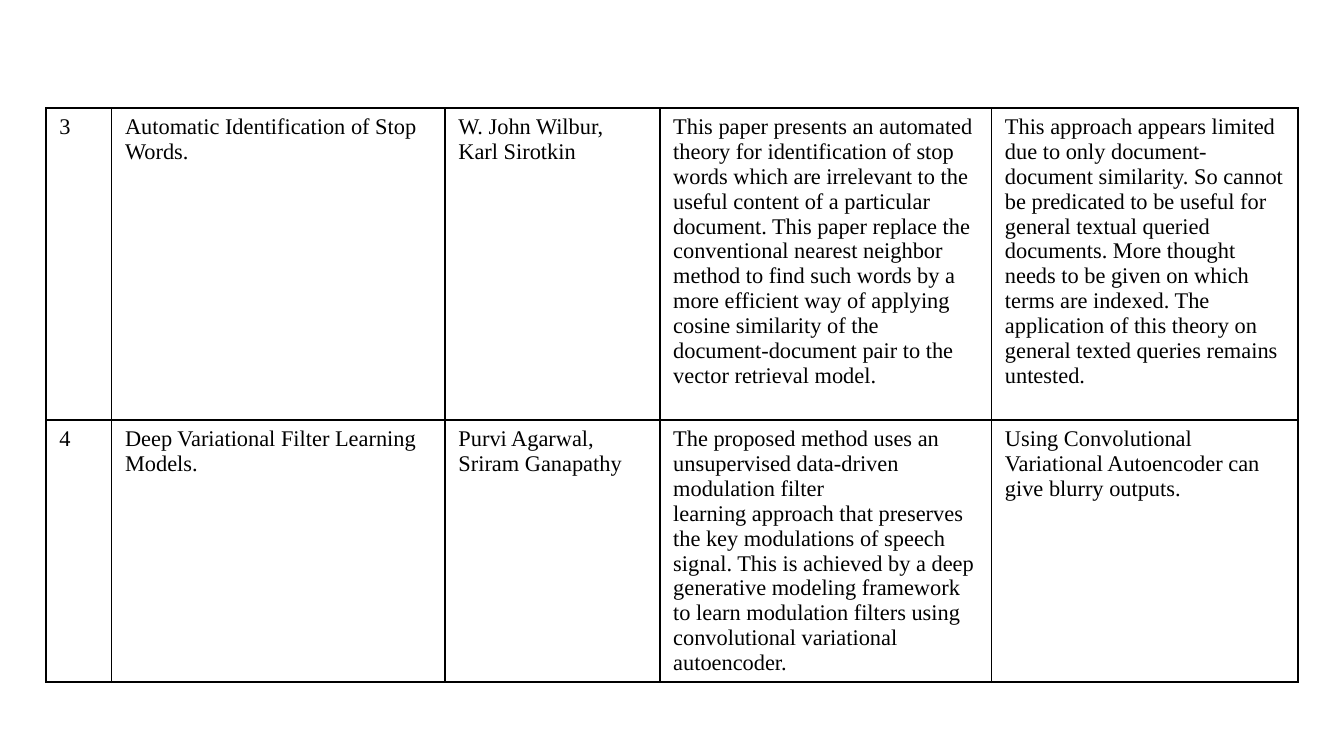
from lxml.etree import SubElement
from pptx import Presentation
from pptx.dml.color import RGBColor
from pptx.oxml.ns import qn
from pptx.util import Cm, Pt

BLACK = RGBColor(0, 0, 0)
FONT = {"name": "Times New Roman", "size": Pt(12), "bold": False}
COL_WIDTHS = [1.24, 6.3, 4.06, 6.27, 5.79]
ROW_HEIGHTS = [5.9, 4.95]
PAPERS = [
    [
        "3",
        "Automatic Identification of Stop Words.",
        "W. John Wilbur, Karl Sirotkin",
        "This paper presents an automated theory for identification of stop words "
        "which are irrelevant to the useful content of a particular document. "
        "This paper replace the conventional nearest neighbor method to find such "
        "words by a more efficient way of applying cosine similarity of the "
        "document-document pair to the vector retrieval model.",
        "This approach appears limited due to only document-document similarity. "
        "So cannot be predicated to be useful for general textual queried documents. "
        "More thought needs to be given on which terms are indexed. The application "
        "of this theory on general texted queries remains untested.",
    ],
    [
        "4",
        "Deep Variational Filter Learning Models.",
        "Purvi Agarwal, Sriram Ganapathy",
        "The proposed method uses an unsupervised data-driven modulation filter\n"
        "learning approach that preserves the key modulations of speech signal. "
        "This is achieved by a deep generative modeling framework to learn "
        "modulation filters using convolutional variational autoencoder.",
        "Using Convolutional Variational Autoencoder can give blurry outputs.",
    ],
]


def add_borders(cell):
    tcPr = cell._tc.get_or_add_tcPr()
    for i, side in enumerate(("lnL", "lnR", "lnT", "lnB")):
        ln = tcPr.makeelement(qn(f"a:{side}"), {"w": str(Pt(1))})
        tcPr.insert(i, ln)
        fill = SubElement(ln, qn("a:solidFill"))
        SubElement(fill, qn("a:srgbClr"), val=str(BLACK))


prs = Presentation()
prs.slide_width, prs.slide_height = Cm(25.4), Cm(14.29)
s = prs.slides.add_slide(prs.slide_layouts[6])

table = s.shapes.add_table(
    len(ROW_HEIGHTS), len(COL_WIDTHS),
    Cm(0.87), Cm(2.04), Cm(sum(COL_WIDTHS)), Cm(sum(ROW_HEIGHTS)),
).table
table.first_row = table.horz_banding = False
for col, width in zip(table.columns, COL_WIDTHS):
    col.width = Cm(width)

for row, height, texts in zip(table.rows, ROW_HEIGHTS, PAPERS):
    row.height = Cm(height)
    for cell, text in zip(row.cells, texts):
        cell.text = text
        cell.fill.background()
        add_borders(cell)
        for p in cell.text_frame.paragraphs:
            for r in p.runs:
                for key, value in FONT.items():
                    setattr(r.font, key, value)
                r.font.color.rgb = BLACK

prs.save("out.pptx")
